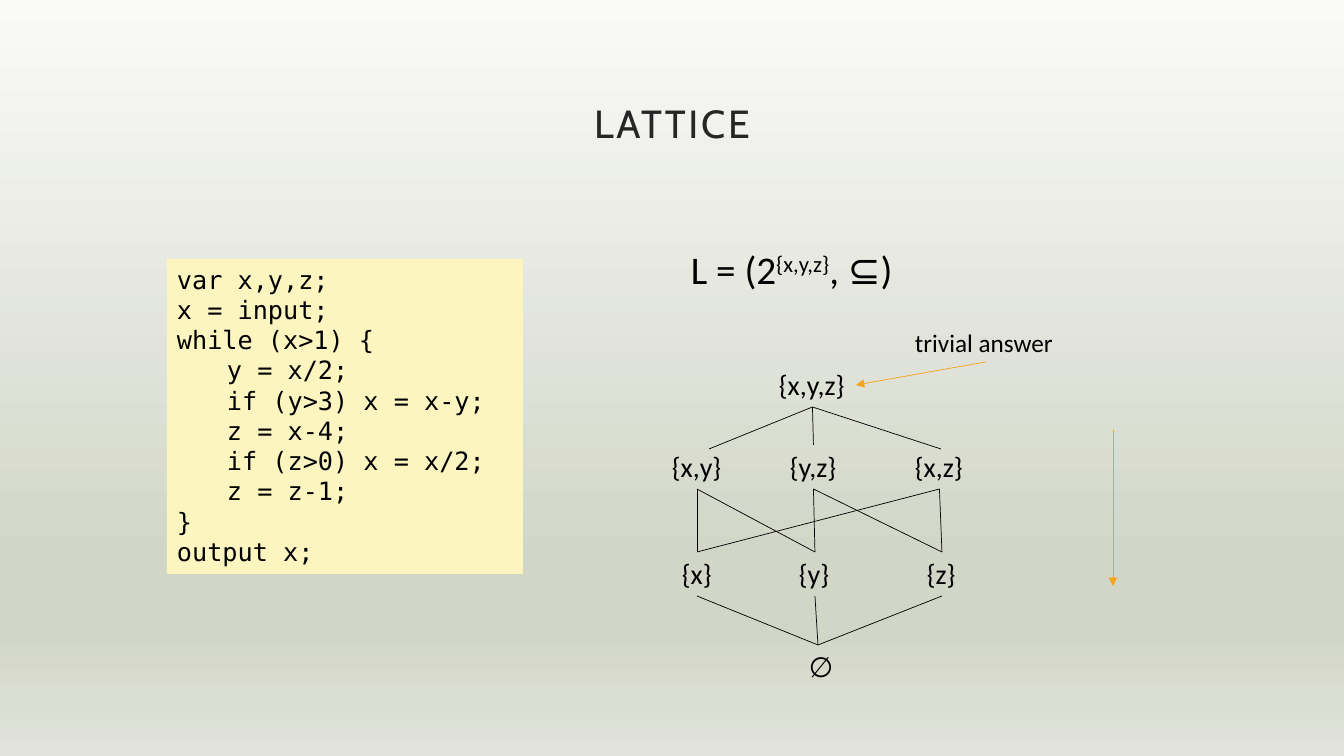
from pptx import Presentation
from pptx.dml.color import RGBColor as RGB
from pptx.enum.shapes import MSO_CONNECTOR as LINK, MSO_SHAPE as SHAPE
from pptx.enum.text import MSO_ANCHOR as ANCHOR, MSO_AUTO_SIZE as FIT, PP_ALIGN as ALIGN
from pptx.oxml.ns import qn
from pptx.oxml.xmlchemy import OxmlElement as Node
from pptx.util import Pt

PX = 12192000 / 1344
COLORS = {"ink": "000000", "title": "262626", "note": "FDF5C0", "arrow": "F6A21D"}
SKY = [(0, "FAFAF9"), (74, "D2D6C7"), (83, "D2D6C7"), (100, "E1E3DA")]
SANS, MONO, HEAD = "Calibri", "DejaVu Sans Mono", "Cabin"

CODE = [
    "var x,y,z;",
    "x = input;",
    "while (x>1) {",
    "\ty = x/2;",
    "\tif (y>3) x = x-y;",
    "\tz = x-4;",
    "\tif (z>0) x = x/2;",
    "\tz = z-1;",
    "}",
    "output x;",
]
FORMULA = [("L = (2", 0), ("{x,y,z}", 30), (", ⊆)", 0)]
ROWS = [
    (363, [("{x,y,z}", 769, 87)]),
    (445, [("{x,y}", 662, 70), ("{y,z}", 780, 67), ("{x,z}", 905, 69)]),
    (552, [("{x}", 672, 50), ("{y}", 789, 52), ("{z}", 917, 50)]),
    (645, [("∅", 799, 38)]),
]
EDGES = [
    ("{x,y,z}", ["{y,z}"]),
    ("{x,y}", ["{x}", "{y}"]),
    ("{y,z}", ["{y}", "{z}"]),
    ("{x,z}", ["{x}", "{z}"]),
    ("{x}", ["∅"]),
    ("{y}", ["∅"]),
    ("{z}", ["∅"]),
]
LOOSE = [(709, 449), (941, 449)]
TALL = 44


def px(*nums):
    return [round(n * PX) for n in nums]


def color(name):
    return RGB.from_string(COLORS[name])


def style(para, size, face=SANS, tint="ink"):
    font = para.font
    font.size, font.name = Pt(size), face
    font.color.rgb = color(tint)


def label(text, box, size, wrap=False):
    shape = slide.shapes.add_textbox(*px(*box))
    frame = shape.text_frame
    frame.word_wrap = wrap
    if not wrap:
        frame.auto_size = FIT.SHAPE_TO_FIT_TEXT
    para = frame.paragraphs[0]
    para.text = text
    style(para, size)
    return shape


def link(start, end, tint="ink", head=False):
    line = slide.shapes.add_connector(LINK.STRAIGHT, *px(*start, *end))
    line.line.width = Pt(0.5)
    line.line.color.rgb = color(tint)
    props = line._element.spPr
    if head:
        tail = Node("a:tailEnd")
        tail.set("type", "triangle")
        props.find(qn("a:ln")).append(tail)
    props.append(Node("a:effectLst"))
    return line


def join(first, side, last, goal, **look):
    line = link((0, 0), (9, 9), **look)
    line.begin_connect(first, side)
    line.end_connect(last, goal)


deck = Presentation()
deck.slide_width, deck.slide_height = px(1344, 756)
slide = deck.slides.add_slide(deck.slide_layouts[6])

fill = slide.background.fill
fill.gradient()
fill.gradient_angle = 270
stops = slide._element.find(".//" + qn("a:gsLst"))
for old in list(stops):
    stops.remove(old)
for pos, tone in SKY:
    stop, rgb = Node("a:gs"), Node("a:srgbClr")
    stop.set("pos", str(pos * 1000))
    rgb.set("val", tone)
    stop.append(rgb)
    stops.append(stop)

title = label("LATTICE", (246, 60, 852, 131), 28, True).text_frame
title.vertical_anchor = ANCHOR.MIDDLE
para = title.paragraphs[0]
para.alignment, para.line_spacing = ALIGN.CENTER, 0.9
style(para, 28, HEAD, "title")
para.runs[0].font._element.set("spc", "200")

note = slide.shapes.add_shape(SHAPE.RECTANGLE, *px(167, 259, 356, 315))
note.shadow.inherit = False
note.fill.solid()
note.fill.fore_color.rgb = color("note")
note.line.fill.background()
frame = note.text_frame
frame.word_wrap = True
frame.vertical_anchor = ANCHOR.TOP
for i, text in enumerate(CODE):
    para = frame.paragraphs[0] if i == 0 else frame.add_paragraph()
    para.text = text
    para.alignment = ALIGN.LEFT
    tabs, tab = Node("a:tabLst"), Node("a:tab")
    tab.set("pos", str(px(50)[0]))
    tab.set("algn", "l")
    tabs.append(tab)
    para._p.get_or_add_pPr().append(tabs)
    style(para, 18, MONO)

para = label("", (681, 240, 235, 89), 28, True).text_frame.paragraphs[0]
for text, base in FORMULA:
    run = para.add_run()
    run.text = text
    if base:
        run.font._element.set("baseline", str(base * 1000))

sets = {
    name: label(name, (left, top, wide, TALL), 20)
    for top, row in ROWS
    for name, left, wide in row
}
for upper, lowers in EDGES:
    for lower in lowers:
        join(sets[upper], 2, sets[lower], 0)
for end in LOOSE:
    link((0, 0), end).begin_connect(sets["{x,y,z}"], 2)

hint = label("trivial answer", (905, 322, 161, 40), 18)
join(hint, 2, sets["{x,y,z}"], 3, tint="arrow", head=True)
link((1113, 430), (1113, 586), "arrow", True)

deck.save("out.pptx")
